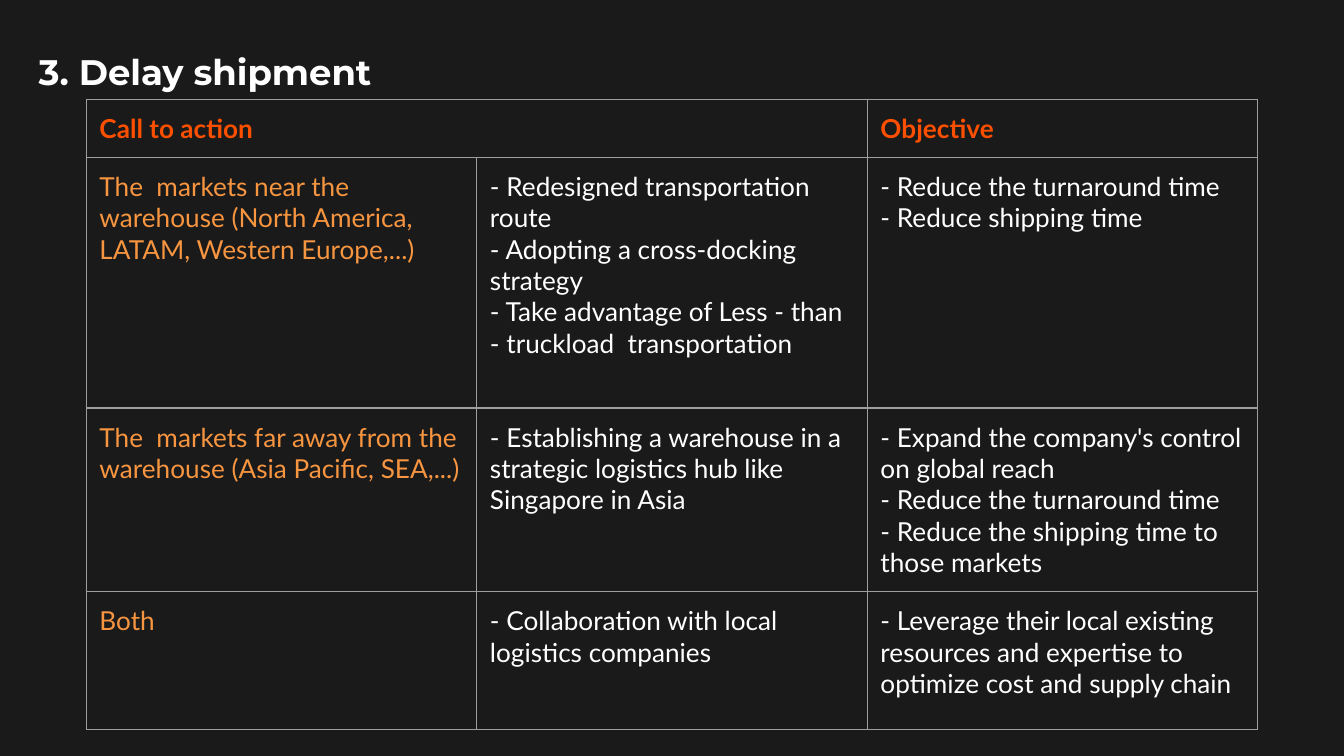
from dataclasses import dataclass

from lxml import etree
from pptx import Presentation
from pptx.dml.color import RGBColor
from pptx.enum.text import MSO_ANCHOR, MSO_AUTO_SIZE, PP_ALIGN
from pptx.oxml.ns import qn
from pptx.util import Cm, Pt

TOP = MSO_ANCHOR.TOP
NO_AUTOFIT = MSO_AUTO_SIZE.NONE
LEFT = PP_ALIGN.LEFT
JUSTIFY = PP_ALIGN.JUSTIFY
TITLE_ONLY_LAYOUT = 5


@dataclass(frozen=True)
class Theme:
    background: str = "1A1A1A"
    text: str = "FFFFFF"
    heading: str = "FC4F00"
    market: str = "F79540"
    border: str = "9E9E9E"
    border_width: float = 0.75
    title_font: str = "Montserrat"
    body_font: str = "Lato"
    title_size: int = 19
    body_size: int = 14
    inset: float = 0.25


THEME = Theme()

TITLE = "3. Delay shipment"
HEADINGS = ["Call to action", "", "Objective"]
ACTION_ROWS = [
    [
        "The  markets near the warehouse (North America, LATAM, Western Europe,...)",
        "- Redesigned transportation route\n"
        "- Adopting a cross-docking strategy\n"
        "- Take advantage of Less - than - truckload  transportation",
        "- Reduce the turnaround time\n- Reduce shipping time",
    ],
    [
        "The  markets far away from the warehouse (Asia Pacific, SEA,...)",
        "- Establishing a warehouse in a strategic logistics hub like Singapore in Asia",
        "- Expand the company's control on global reach\n"
        "- Reduce the turnaround time\n"
        "- Reduce the shipping time to those markets",
    ],
    [
        "Both",
        "- Collaboration with local logistics companies",
        "- Leverage their local existing resources and expertise to optimize cost and supply chain",
    ],
]
ROW_HEIGHTS = [1.08, 4.74, 3.47, 2.6]


def format_text(text_frame, font_name, size, color, bold=False, alignment=LEFT):
    for paragraph in text_frame.paragraphs:
        paragraph.alignment = alignment
        for run in paragraph.runs:
            run.font.name = font_name
            run.font.size = Pt(size)
            run.font.bold = bold
            run.font.color.rgb = RGBColor.from_string(color)


def set_insets(box):
    box.margin_left = box.margin_right = Cm(THEME.inset)
    box.margin_top = box.margin_bottom = Cm(THEME.inset)


def add_borders(cell):
    properties = cell._tc.get_or_add_tcPr()
    for side in ("a:lnL", "a:lnR", "a:lnT", "a:lnB"):
        line = etree.SubElement(properties, qn(side), w=str(Pt(THEME.border_width)))
        fill = etree.SubElement(line, qn("a:solidFill"))
        etree.SubElement(fill, qn("a:srgbClr"), val=THEME.border)


def place_title(slide, left, top, width, height):
    title = slide.shapes.title
    title.left, title.top, title.width, title.height = left, top, width, height
    text_frame = title.text_frame
    text_frame.text = TITLE
    text_frame.word_wrap = True
    text_frame.auto_size = NO_AUTOFIT
    text_frame.vertical_anchor = TOP
    set_insets(text_frame)
    text_frame.paragraphs[0].line_spacing = 1.5
    format_text(text_frame, THEME.title_font, THEME.title_size, THEME.text, True, JUSTIFY)


def cell_color(row, column):
    if row == 0:
        return THEME.heading
    return THEME.market if column == 0 else THEME.text


def place_action_table(slide, left, top, width, height):
    contents = [HEADINGS, *ACTION_ROWS]
    table = slide.shapes.add_table(
        len(contents), len(HEADINGS), left, top, width, height
    ).table
    table.first_row = False
    table.horz_banding = False
    for column in table.columns:
        column.width = width // len(HEADINGS)
    for row, share in zip(table.rows, ROW_HEIGHTS):
        row.height = int(height * share / sum(ROW_HEIGHTS))

    for row_index, texts in enumerate(contents):
        for column_index, text in enumerate(texts):
            cell = table.cell(row_index, column_index)
            cell.text_frame.text = text
            cell.vertical_anchor = TOP
            set_insets(cell)
            add_borders(cell)
            cell.fill.background()
            format_text(
                cell.text_frame,
                THEME.body_font,
                THEME.body_size,
                cell_color(row_index, column_index),
                bold=row_index == 0,
            )
    table.cell(0, 0).merge(table.cell(0, 1))


def build_delay_slide(presentation):
    slide = presentation.slides.add_slide(presentation.slide_layouts[TITLE_ONLY_LAYOUT])
    background = slide.background.fill
    background.solid()
    background.fore_color.rgb = RGBColor.from_string(THEME.background)
    place_title(slide, Cm(0.48), Cm(0.3), Cm(11.46), Cm(1.32))
    place_action_table(slide, Cm(1.63), Cm(1.88), Cm(22.14), Cm(sum(ROW_HEIGHTS)))


def main():
    presentation = Presentation()
    presentation.slide_width = Cm(25.4)
    presentation.slide_height = Cm(14.29)
    build_delay_slide(presentation)
    presentation.save("out.pptx")


if __name__ == "__main__":
    main()
